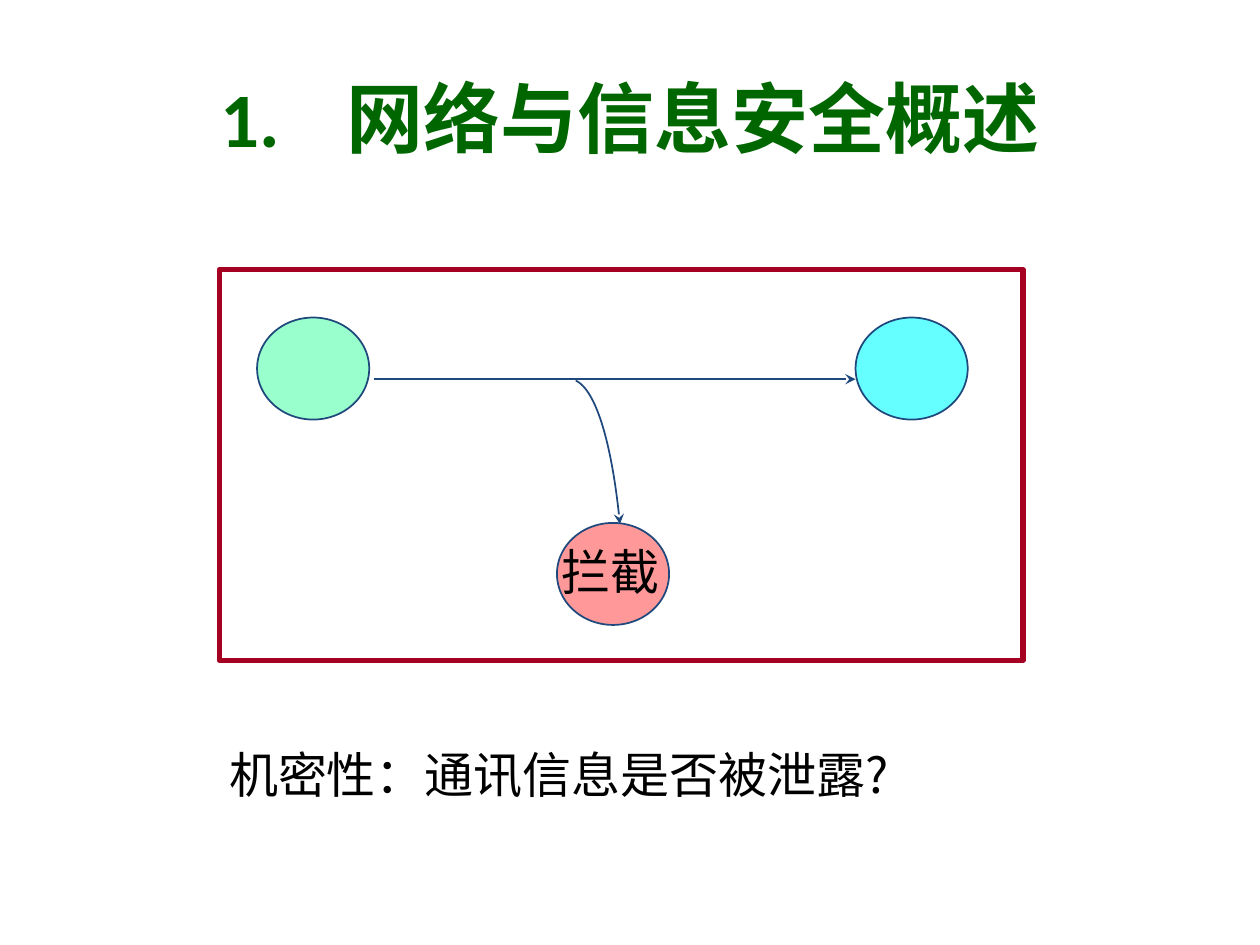
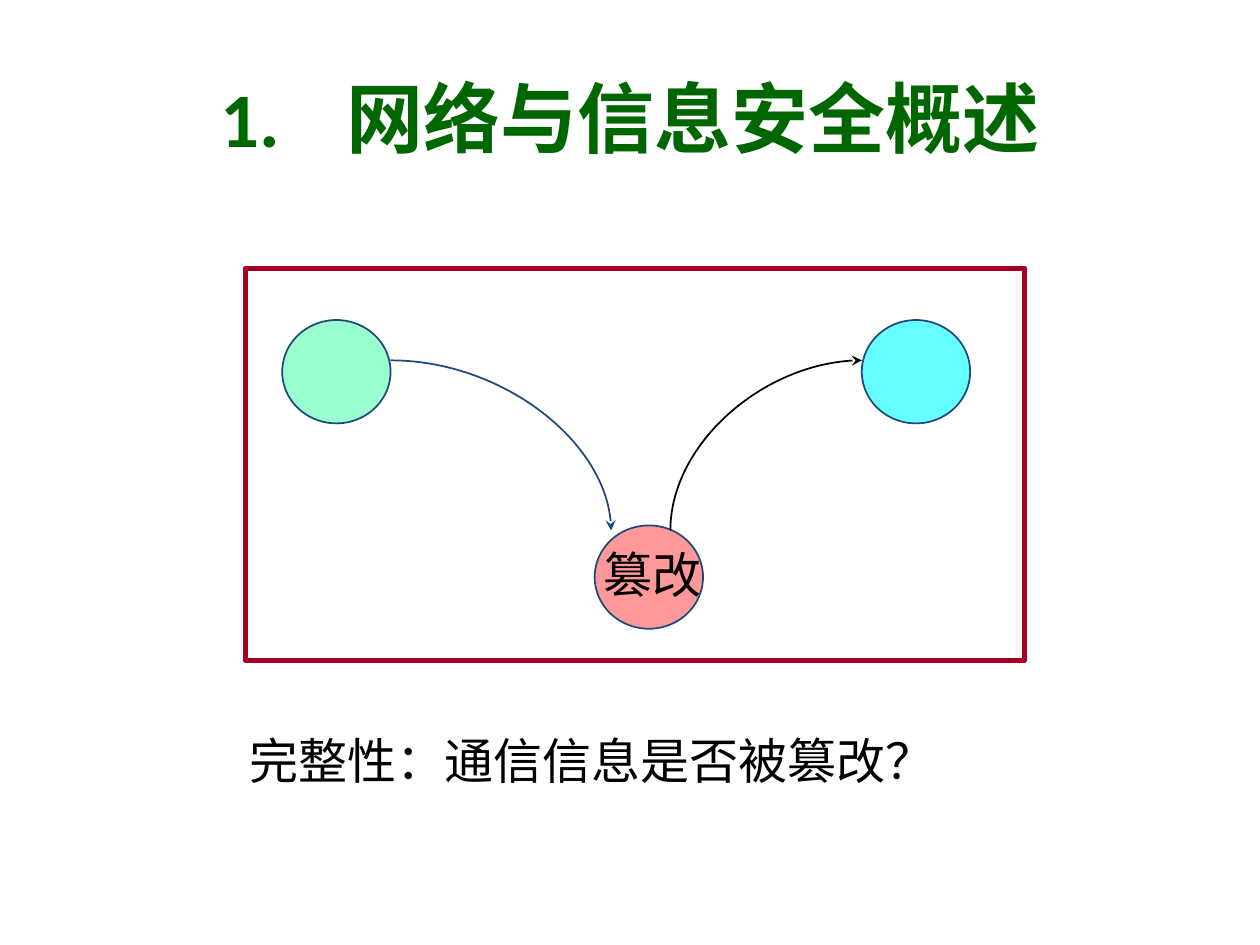
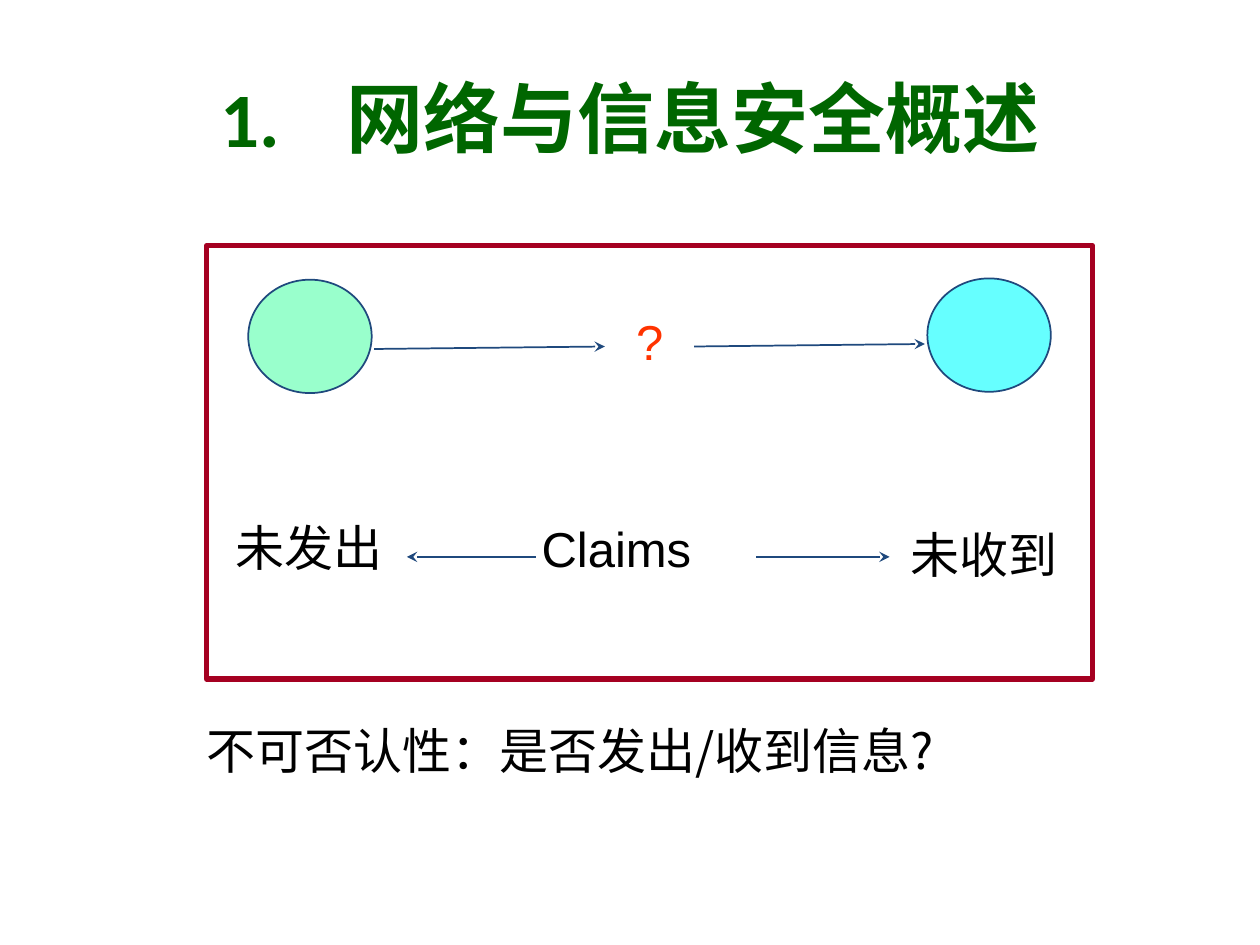
from dataclasses import dataclass

from lxml import etree
from pptx import Presentation
from pptx.dml.color import RGBColor
from pptx.enum.shapes import MSO_CONNECTOR, MSO_SHAPE
from pptx.enum.text import MSO_ANCHOR, MSO_AUTO_SIZE, PP_ALIGN
from pptx.oxml.ns import qn
from pptx.util import Inches, Pt

STRAIGHT, CURVE = MSO_CONNECTOR.STRAIGHT, MSO_CONNECTOR.CURVE
RECTANGLE, OVAL = MSO_SHAPE.RECTANGLE, MSO_SHAPE.OVAL
MIDDLE, CENTER = MSO_ANCHOR.MIDDLE, PP_ALIGN.CENTER
GROW = MSO_AUTO_SIZE.SHAPE_TO_FIT_TEXT
TITLE_ONLY = 5


@dataclass(frozen=True)
class Theme:
    title: str = "006600"
    frame: str = "A50021"
    line: str = "1F497D"
    sender: str = "99FFCC"
    receiver: str = "66FFFF"
    attacker: str = "FF9999"
    text: str = "000000"
    question: str = "FF3300"
    title_font: str = "Calibri"
    body_font: str = "Arial"
    chinese_font: str = "Noto Sans CJK SC"
    round_font: str = "Comic Neue"
    title_size: int = 44
    body_size: int = 28
    frame_width: int = 3
    line_width: int = 1


THEME = Theme()
TITLE = "1.\t网络与信息安全概述"
TITLE_BOX = (0.5, 0.3, 9, 1.25)
TITLE_TABS = range(8)
TEXT_HEIGHT = 0.57

SLIDES = [
    {
        "frame": (1.74, 2.14, 6.38, 3.1),
        "node_size": (0.89, 0.81),
        "nodes": [(2.04, 2.52, THEME.sender), (6.79, 2.52, THEME.receiver),
                  (4.42, 4.15, THEME.attacker)],
        "arrows": [((2.97, 3.01), (6.79, 3.01))],
        "tap": [(4.57, 3.02), (4.73, 3.1), (4.86, 3.54), (4.92, 4.16)],
        "labels": [("拦截", 4.36, 4.25, 0.99, THEME.text)],
        "caption": (1.72, 5.86, 6.09),
        "caption_runs": [("机密性：通讯信息是否被泄露?", THEME.chinese_font)],
    },
    {
        "frame": (1.95, 2.13, 6.18, 3.11),
        "node_size": (0.86, 0.82),
        "nodes": [(2.24, 2.54, THEME.sender), (6.84, 2.54, THEME.receiver),
                  (4.72, 4.17, THEME.attacker)],
        "bends": [((3.1, 2.86), (4.85, 4.21), THEME.line, False),
                  ((5.32, 4.21), (6.84, 2.86), THEME.text, True)],
        "labels": [("篡改", 4.69, 4.27, 1.02, THEME.text)],
        "caption": (1.88, 5.75, 5.39),
        "caption_runs": [("完整性：通信信息是否被篡改？", THEME.round_font)],
    },
    {
        "frame": (1.64, 1.95, 7.03, 3.44),
        "node_size": (0.98, 0.9),
        "nodes": [(1.97, 2.22, THEME.sender), (7.36, 2.21, THEME.receiver)],
        "arrows": [((2.97, 2.77), (4.8, 2.75)), ((5.51, 2.75), (7.34, 2.73)),
                   ((4.25, 4.42), (3.23, 4.42)), ((6, 4.42), (7.06, 4.42))],
        "labels": [("?", 4.95, 2.42, 0.51, THEME.question),
                   ("Claims", 4.2, 4.07, 1.4, THEME.text),
                   ("未发出", 1.77, 4.06, 1.38, THEME.text),
                   ("未收到", 7.13, 4.11, 1.38, THEME.text)],
        "caption": (1.54, 5.67, 6.24),
        "caption_runs": [("不可否认性：", THEME.body_font),
                         ("是否发出/收到信息?", THEME.chinese_font)],
    },
]


def inches(values):
    return [Inches(value) for value in values]


def style_run(run, font, size, color, bold=False):
    run.font.name = font
    run.font.size = Pt(size)
    run.font.bold = bold
    run.font.color.rgb = RGBColor.from_string(color)
    latin = run.font._element.find(qn("a:latin"))
    east_asian = etree.Element(qn("a:ea"), typeface=THEME.chinese_font)
    latin.addnext(east_asian)


def style_line(line, color, width):
    line.color.rgb = RGBColor.from_string(color)
    line.width = Pt(width)


def add_arrowhead(shape):
    outline = shape.line._get_or_add_ln()
    etree.SubElement(outline, qn("a:tailEnd"), type="stealth")


def add_title(slide):
    title = slide.shapes.title
    title.left, title.top, title.width, title.height = inches(TITLE_BOX)
    title.text_frame.text = TITLE
    title.text_frame.vertical_anchor = MIDDLE
    paragraph = title.text_frame.paragraphs[0]
    properties = paragraph._p.get_or_add_pPr()
    tabs = etree.SubElement(properties, qn("a:tabLst"))
    for position in TITLE_TABS:
        etree.SubElement(tabs, qn("a:tab"), pos=str(Inches(position)), algn="l")
    paragraph.alignment = CENTER
    for run in paragraph.runs:
        style_run(run, THEME.title_font, THEME.title_size, THEME.title, True)


def add_outlined(slide, kind, box, color, width, fill=None):
    shape = slide.shapes.add_shape(kind, *inches(box))
    shape.shadow.inherit = False
    if fill:
        shape.fill.solid()
        shape.fill.fore_color.rgb = RGBColor.from_string(fill)
    else:
        shape.fill.background()
    style_line(shape.line, color, width)


def add_arrow(slide, start, end, color=THEME.line, kind=STRAIGHT):
    connector = slide.shapes.add_connector(kind, *inches(start + end))
    style_line(connector.line, color, THEME.line_width)
    add_arrowhead(connector)
    etree.SubElement(connector._element.spPr, qn("a:effectLst"))
    return connector


def add_bend(slide, start, end, color, leaves_vertically):
    if leaves_vertically:
        middle_x, middle_y = (start[0] + end[0]) / 2, (start[1] + end[1]) / 2
        start, end = [(middle_x + y - middle_y, middle_y - x + middle_x)
                      for x, y in (start, end)]
    connector = add_arrow(slide, start, end, color, CURVE)
    properties = connector._element.spPr
    properties.find(qn("a:prstGeom")).set("prst", "curvedConnector2")
    if leaves_vertically:
        properties.find(qn("a:xfrm")).set("rot", str(90 * 60000))


def add_tap(slide, points):
    start, *controls = [inches(point) for point in points]
    builder = slide.shapes.build_freeform(*start)
    builder.add_line_segments(controls, close=False)
    shape = builder.convert_to_shape()
    segments = list(shape._element.iter(qn("a:lnTo")))
    curve = etree.Element(qn("a:cubicBezTo"))
    segments[0].addprevious(curve)
    for segment in segments:
        curve.append(segment[0])
        segment.getparent().remove(segment)
    shape.shadow.inherit = False
    shape.fill.background()
    style_line(shape.line, THEME.line, THEME.line_width)
    add_arrowhead(shape)


def add_text(slide, left, top, width, runs, color=THEME.text):
    box = slide.shapes.add_textbox(*inches((left, top, width, TEXT_HEIGHT)))
    frame = box.text_frame
    frame.word_wrap = True
    frame.auto_size = GROW
    for text, font in runs:
        run = frame.paragraphs[0].add_run()
        run.text = text
        style_run(run, font, THEME.body_size, color)


def build_slide(presentation, content):
    slide = presentation.slides.add_slide(presentation.slide_layouts[TITLE_ONLY])
    add_title(slide)
    add_outlined(slide, RECTANGLE, content["frame"], THEME.frame, THEME.frame_width)
    for left, top, fill in content["nodes"]:
        box = (left, top, *content["node_size"])
        add_outlined(slide, OVAL, box, THEME.line, THEME.line_width, fill)
    for start, end in content.get("arrows", []):
        add_arrow(slide, start, end)
    for bend in content.get("bends", []):
        add_bend(slide, *bend)
    if "tap" in content:
        add_tap(slide, content["tap"])
    for text, left, top, width, color in content["labels"]:
        add_text(slide, left, top, width, [(text, THEME.body_font)], color)
    add_text(slide, *content["caption"], content["caption_runs"])


def main():
    presentation = Presentation()
    presentation.slide_width, presentation.slide_height = Inches(10), Inches(7.5)
    for content in SLIDES:
        build_slide(presentation, content)
    presentation.save("out.pptx")


if __name__ == "__main__":
    main()
